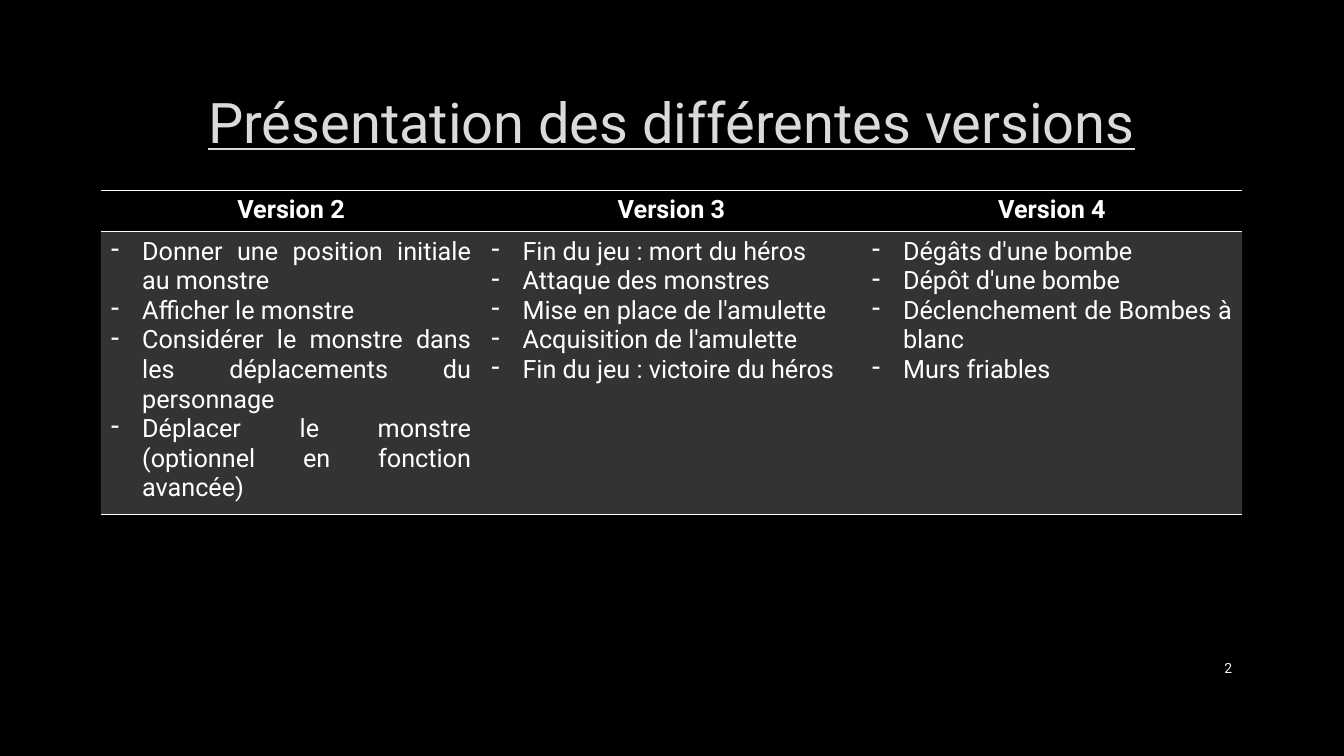
from lxml import etree
from pptx import Presentation
from pptx.dml.color import RGBColor
from pptx.enum import text
from pptx.oxml import ns
from pptx.util import Inches, Pt

COLORS = {"background": "000000", "title": "DADADA", "table": "FFFFFF", "number": "F2F2F2"}
FONT = "Roboto"
NO_STYLE = "{2D5ABB26-0587-4C30-8999-92F81FD0307C}"
ALIGN = text.PP_ALIGN
VERSIONS = {
    "Version 2": [
        "Donner une position initiale au monstre",
        "Afficher le monstre",
        "Considérer le monstre dans les déplacements du personnage",
        "Déplacer le monstre (optionnel en fonction avancée)",
    ],
    "Version 3": [
        "Fin du jeu : mort du héros",
        "Attaque des monstres",
        "Mise en place de l'amulette",
        "Acquisition de l'amulette",
        "Fin du jeu : victoire du héros",
    ],
    "Version 4": [
        "Dégâts d'une bombe",
        "Dépôt d'une bombe",
        "Déclenchement de Bombes à blanc",
        "Murs friables",
    ],
}


def write(p, words, size, color, align):
    p.text = words
    p.alignment = align
    p.font.name = FONT
    p.font.size = Pt(size)
    p.font.color.rgb = RGBColor.from_string(COLORS[color])


def add_borders(cell, sides):
    tcPr = cell._tc.get_or_add_tcPr()
    for i, side in enumerate(sides):
        ln = etree.Element(ns.qn("a:" + side), w=str(Pt(1)))
        fill = etree.SubElement(ln, ns.qn("a:solidFill"))
        etree.SubElement(fill, ns.qn("a:srgbClr"), val=COLORS["table"])
        tcPr.insert(i, ln)


# Slide and background
prs = Presentation()
prs.slide_width, prs.slide_height = Inches(13.33), Inches(7.5)
s = prs.slides.add_slide(prs.slide_layouts[6])
s.background.fill.solid()
s.background.fill.fore_color.rgb = RGBColor.from_string(COLORS["background"])

# Title and slide number
for words, box, size, color, align in [
    ("Présentation des différentes versions", (1, 0.67, 11.32, 1.06), 40, "title", ALIGN.CENTER),
    ("2", (11.5, 6.43, 0.82, 0.4), 10, "number", ALIGN.RIGHT),
]:
    tf = s.shapes.add_textbox(*map(Inches, box)).text_frame
    tf.word_wrap = True
    tf.vertical_anchor = text.MSO_ANCHOR.MIDDLE
    write(tf.paragraphs[0], words, size, color, align)
    tf.paragraphs[0].font.underline = color == "title"

# Table of versions
table = s.shapes.add_table(2, len(VERSIONS), Inches(1), Inches(1.89),
                           Inches(11.32), Inches(3.15)).table
table.first_row = table.horz_banding = False
table._tbl.tblPr.find(ns.qn("a:tableStyleId")).text = NO_STYLE
table.rows[0].height, table.rows[1].height = Inches(0.41), Inches(2.74)

for col, (version, tasks) in enumerate(VERSIONS.items()):
    # Header cell
    header = table.cell(0, col)
    header.fill.background()
    add_borders(header, ["lnT", "lnB"])
    p = header.text_frame.paragraphs[0]
    write(p, version, 18, "table", ALIGN.CENTER)
    p.font.bold = True

    # Task cell, filled with 20 % white
    body = table.cell(1, col)
    body.fill.solid()
    body.fill.fore_color.rgb = RGBColor.from_string(COLORS["table"])
    white = body._tc.tcPr.find(".//" + ns.qn("a:srgbClr"))
    etree.SubElement(white, ns.qn("a:alpha"), val="20000")
    add_borders(body, ["lnT", "lnB"])
    tf = body.text_frame
    for i, task in enumerate(tasks):
        p = tf.add_paragraph() if i else tf.paragraphs[0]
        write(p, task, 18, "table", ALIGN.JUSTIFY)
        pPr = p._p.get_or_add_pPr()
        pPr.set("marL", str(Inches(0.31)))
        pPr.set("indent", str(-Inches(0.31)))
        bullet = etree.Element(ns.qn("a:buChar"), char="-")
        pPr.insert(0, bullet)

prs.save("out.pptx")
